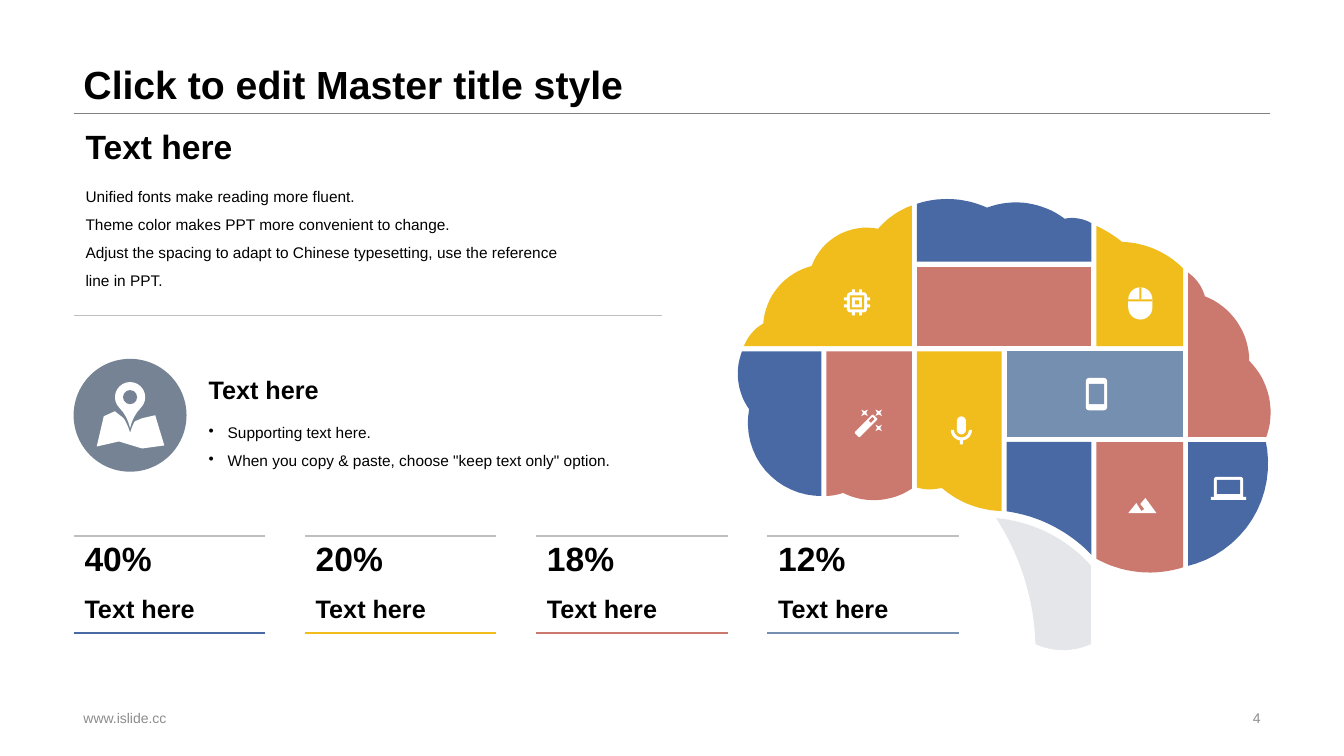
from math import atan, cos, hypot, sin

from lxml import etree
from pptx import Presentation
from pptx.dml.color import RGBColor
from pptx.enum.shapes import MSO_CONNECTOR, MSO_SHAPE
from pptx.enum.text import MSO_ANCHOR, PP_ALIGN
from pptx.oxml.ns import qn
from pptx.util import Inches, Pt

BLUE, YELLOW, RED, STEEL = "4969A5", "F0BD1D", "CB786E", "748FAF"
SLATE, STEM_GRAY, RULE, WHITE = "768394", "E4E6EA", "BFBFBF", "FFFFFF"
BLACK, GRAY, FOOTER_GRAY = "000000", "808080", "8C8C8C"

TITLE = "Click to edit Master title style"
FOOTER, PAGE_NUMBER = "www.islide.cc", "4"
INTRO_HEADING = "Text here"
INTRO = [
    "Unified fonts make reading more fluent.",
    "Theme color makes PPT more convenient to change.",
    "Adjust the spacing to adapt to Chinese typesetting, use the reference line in PPT.",
]
POINT_HEADING = "Text here"
POINTS = [
    "Supporting text here.",
    'When you copy & paste, choose "keep text only" option.',
]
STATS = [
    ("40%", "Text here", BLUE),
    ("20%", "Text here", YELLOW),
    ("18%", "Text here", RED),
    ("12%", "Text here", STEEL),
]

# Lobes run clockwise: start x, start y, bulge outwards; each ends where the next starts
BRAIN_LOBES = [
    (7.43, 4.06, 0.08), (7.37, 3.46, 0.03), (7.57, 3.21, 0.12), (8.05, 2.64, 0.14),
    (8.71, 2.27, 0.03), (9.07, 2.03, 0.07), (9.79, 2.06, 0.1), (10.56, 2.17, 0.03),
    (10.85, 2.23, 0.01), (11.13, 2.4, 0.07), (11.76, 2.69, 0.03), (11.95, 2.94, 0.12),
    (12.39, 3.58, 0.12), (12.55, 4.36, 0.31), (11.76, 5.62, 0.1), (10.85, 5.53, -0.09),
    (9.96, 5.07, 0.06), (9.34, 4.84, 0.02), (9.07, 4.83, 0.1), (8.36, 4.89, 0.01),
    (8.16, 4.92, 0.27),
]
STEM_LOBES = [(9.88, 5.14, 0.1), (10.82, 5.61, 0), (10.82, 6.39, 0.06), (10.27, 6.39, -0.09)]

# Gutter centres of the grid that cuts the brain; the outermost lines lie outside it
GRID_X = [7.2, 8.17, 9.07, 9.96, 10.85, 11.76, 12.7]
GRID_Y = [1.8, 2.62, 3.46, 4.36, 5.8]
GUTTER = 0.05
# Tiles: colour, first and last column line, first and last row line
TILES = [
    (YELLOW, 0, 2, 0, 2), (BLUE, 2, 4, 0, 1), (YELLOW, 4, 5, 0, 2), (RED, 5, 6, 0, 3),
    (RED, 2, 4, 1, 2), (BLUE, 0, 1, 2, 4), (RED, 1, 2, 2, 4), (YELLOW, 2, 3, 2, 4),
    (STEEL, 3, 5, 2, 3), (BLUE, 3, 4, 3, 4), (RED, 4, 5, 3, 4), (BLUE, 5, 6, 3, 4),
]

BOX, ROUND, OVAL = MSO_SHAPE.RECTANGLE, MSO_SHAPE.ROUNDED_RECTANGLE, MSO_SHAPE.OVAL
ARC, STAR, TEAR = MSO_SHAPE.BLOCK_ARC, MSO_SHAPE.STAR_4_POINT, MSO_SHAPE.TEAR
# Icon parts: preset, left, top, width, height, colour, then rotation and {adjustment: value}
MICROPHONE = [
    (ROUND, 9.49, 4.13, 0.09, 0.18, WHITE, 0, {0: 0.5}),
    (ARC, 9.43, 4.16, 0.21, 0.21, WHITE, 180, {2: 0.14}),
    (BOX, 9.52, 4.35, 0.03, 0.06, WHITE),
]
LAPTOP = [
    (ROUND, 12.04, 4.73, 0.29, 0.22, WHITE, 0, {0: 0.12}),
    (BOX, 12.07, 4.76, 0.23, 0.14, BLUE),
    (BOX, 12.01, 4.93, 0.35, 0.03, WHITE),
]
CHIP_LEFT, CHIP_TOP, CHIP_SIZE = 8.37, 2.87, 0.26
CHIP_PINS = [
    pin for offset in (0.08, 0.15) for pin in (
        (BOX, CHIP_LEFT + offset, CHIP_TOP, 0.03, CHIP_SIZE, WHITE),
        (BOX, CHIP_LEFT, CHIP_TOP + offset, CHIP_SIZE, 0.03, WHITE))
]
CHIP_LAYERS = [
    (preset, CHIP_LEFT + inset, CHIP_TOP + inset, CHIP_SIZE - 2 * inset, CHIP_SIZE - 2 * inset, color)
    for preset, inset, color in [(ROUND, 0.03, WHITE), (BOX, 0.06, YELLOW),
                                 (BOX, 0.08, WHITE), (BOX, 0.11, YELLOW)]
]
MOUSE = [
    (ROUND, 11.19, 2.85, 0.24, 0.32, WHITE, 0, {0: 0.5}),
    (BOX, 11.19, 2.97, 0.24, 0.02, YELLOW),
    (BOX, 11.3, 2.85, 0.02, 0.12, YELLOW),
]
PHONE = [
    (ROUND, 10.77, 3.75, 0.21, 0.32, WHITE, 0, {0: 0.14}),
    (BOX, 10.8, 3.81, 0.15, 0.2, STEEL),
]
WAND = [
    (ROUND, 8.46, 4.19, 0.26, 0.07, WHITE, -45),
    (BOX, 8.62, 4.15, 0.05, 0.03, RED, -45),
]
SPARKLES = [(STAR, left, top, 0.09, 0.09, WHITE, 45, {0: 0.17})
            for left, top in [(8.53, 4.05), (8.67, 4.05), (8.67, 4.2)]]
ICONS = [MICROPHONE, LAPTOP, CHIP_PINS, CHIP_LAYERS, MOUSE, PHONE, WAND, SPARKLES]
MOUNTAINS = [(11.36, 4.94), (11.31, 5), (11.35, 5.05), (11.32, 5.07), (11.27, 4.99),
             (11.19, 5.09), (11.47, 5.09)]
BADGE = (OVAL, 0.73, 3.56, 1.12, 1.12, SLATE)
FOLDED_MAP = [(1.03, 4.13), (1.14, 4.08), (1.29, 4.2), (1.41, 4.15), (1.54, 4.12), (1.63, 4.42),
              (1.41, 4.45), (1.18, 4.38), (0.96, 4.43)]
PIN = [
    (TEAR, 1.11, 3.76, 0.36, 0.36, SLATE, 135, {0: 1.37}),
    (TEAR, 1.14, 3.79, 0.3, 0.3, WHITE, 135, {0: 1.45}),
    (OVAL, 1.22, 3.87, 0.14, 0.14, SLATE),
]

LEFT, RIGHT = 0.73, 12.6
STAT_TOP, STAT_ROW, STAT_WIDTH = 5.32, 0.48, 1.9
STAT_PITCH = (7.61 - LEFT) / (len(STATS) - 1)
ARC_STEPS = 16

presentation = Presentation()
presentation.slide_width, presentation.slide_height = Inches(13.33), Inches(7.5)
shapes = presentation.slides.add_slide(presentation.slide_layouts[6]).shapes


def rgb(color):
    return RGBColor.from_string(color)


def paint(shape, color):
    shape.shadow.inherit = False
    shape.fill.solid()
    shape.fill.fore_color.rgb = rgb(color)
    shape.line.fill.background()


def add_part(preset, left, top, width, height, color, rotation=0, adjustments=None):
    part = shapes.add_shape(preset, Inches(left), Inches(top), Inches(width), Inches(height))
    part.rotation = rotation
    for index, value in (adjustments or {}).items():
        part.adjustments[index] = value
    paint(part, color)


def add_polygon(points, color):
    first, *rest = [(x * 1000, y * 1000) for x, y in points]
    builder = shapes.build_freeform(*first, scale=Inches(1) / 1000)
    builder.add_line_segments(rest, close=True)
    paint(builder.convert_to_shape(), color)


def lobed_outline(lobes):
    """Join circular arcs, each as high above its chord as its bulge says."""
    points = []
    for (x, y, bulge), (end_x, end_y, _) in zip(lobes, lobes[1:] + lobes[:1]):
        points.append((x, y))
        if not bulge:
            continue
        chord = hypot(end_x - x, end_y - y)
        ux, uy = (end_x - x) / chord, (end_y - y) / chord
        radius = (chord ** 2 / 4 + bulge ** 2) / (2 * bulge)
        half_angle = 2 * atan(2 * bulge / chord)
        for step in range(1, ARC_STEPS):
            angle = half_angle * (2 * step / ARC_STEPS - 1)
            along = chord / 2 + radius * sin(angle)
            out = radius * cos(angle) - radius + bulge
            points.append((x + ux * along + uy * out, y + uy * along - ux * out))
    return points


def clip(points, axis, limit, side):
    """Keep what lies above (side 1) or below (side -1) the limit on one axis."""
    kept = []
    for start, end in zip(points[-1:] + points[:-1], points):
        start_depth, end_depth = (side * (point[axis] - limit) for point in (start, end))
        if start_depth * end_depth < 0:
            share = start_depth / (start_depth - end_depth)
            kept.append(tuple(a + share * (b - a) for a, b in zip(start, end)))
        if end_depth >= 0:
            kept.append(end)
    return kept


def rule(left, right, y, color, weight):
    line = shapes.add_connector(MSO_CONNECTOR.STRAIGHT, Inches(left), Inches(y), Inches(right), Inches(y))
    line.line.color.rgb = rgb(color)
    line.line.width = Pt(weight)
    etree.SubElement(line._element.spPr, qn("a:effectLst"))


def write(lines, left, top, width, height, size, color=BLACK, bold=False, anchor=MSO_ANCHOR.MIDDLE,
          align=PP_ALIGN.LEFT, spacing=1.0, bullet=False):
    frame = shapes.add_textbox(Inches(left), Inches(top), Inches(width), Inches(height)).text_frame
    frame.word_wrap, frame.vertical_anchor = True, anchor
    frame.text = "\n".join(lines)
    for paragraph in frame.paragraphs:
        paragraph.alignment, paragraph.line_spacing = align, spacing
        if bullet:
            properties = paragraph._p.get_or_add_pPr()
            properties.set("marL", str(Inches(0.19)))
            properties.set("indent", str(-Inches(0.19)))
            etree.SubElement(properties, qn("a:buChar")).set("char", "•")
        for run in paragraph.runs:
            run.font.name, run.font.size, run.font.bold = "Arial", Pt(size), bold
            run.font.color.rgb = rgb(color)


rule(LEFT, RIGHT, 1.12, GRAY, 0.25)
write([TITLE], LEFT, 0, RIGHT - LEFT, 1.12, 28, bold=True, anchor=MSO_ANCHOR.BOTTOM, spacing=0.9)
write([FOOTER], LEFT, 7.01, 4.53, 0.23, 10, FOOTER_GRAY)
write([PAGE_NUMBER], 9.42, 7.01, 3.18, 0.23, 10, FOOTER_GRAY, align=PP_ALIGN.RIGHT)

brain = lobed_outline(BRAIN_LOBES)
for color, *spans in TILES:
    tile = brain
    for axis, lines, (first, last) in ((0, GRID_X, spans[:2]), (1, GRID_Y, spans[2:])):
        tile = clip(tile, axis, lines[first] + GUTTER / 2, 1)
        tile = clip(tile, axis, lines[last] - GUTTER / 2, -1)
    add_polygon(tile, color)
add_polygon(lobed_outline(STEM_LOBES), STEM_GRAY)
for icon in ICONS:
    for part in icon:
        add_part(*part)
add_polygon(MOUNTAINS, WHITE)

for column, (share, label, color) in enumerate(STATS):
    left = LEFT + column * STAT_PITCH
    write([share], left + 0.01, STAT_TOP, STAT_WIDTH, STAT_ROW, 24, bold=True, spacing=0.9)
    write([label], left + 0.01, STAT_TOP + STAT_ROW, STAT_WIDTH, STAT_ROW, 18, bold=True)
    rule(left, left + STAT_WIDTH, STAT_TOP + 2 * STAT_ROW, color, 1.75)
    rule(left, left + STAT_WIDTH, STAT_TOP, RULE, 1.75)

write([INTRO_HEADING], 0.75, 1.24, 5.02, 0.48, 24, bold=True, anchor=MSO_ANCHOR.TOP, spacing=0.9)
write(INTRO, 0.75, 1.72, 5.02, 1.28, 11, anchor=MSO_ANCHOR.TOP, spacing=1.5)
rule(LEFT, 6.57, 3.13, RULE, 0.25)

write([POINT_HEADING], 1.97, 3.63, 4.48, 0.43, 18, bold=True, anchor=MSO_ANCHOR.BOTTOM)
write(POINTS, 1.97, 4.06, 4.48, 0.63, 11, anchor=MSO_ANCHOR.TOP, spacing=1.5, bullet=True)
add_part(*BADGE)
add_polygon(FOLDED_MAP, WHITE)
for part in PIN:
    add_part(*part)

presentation.save("out.pptx")
